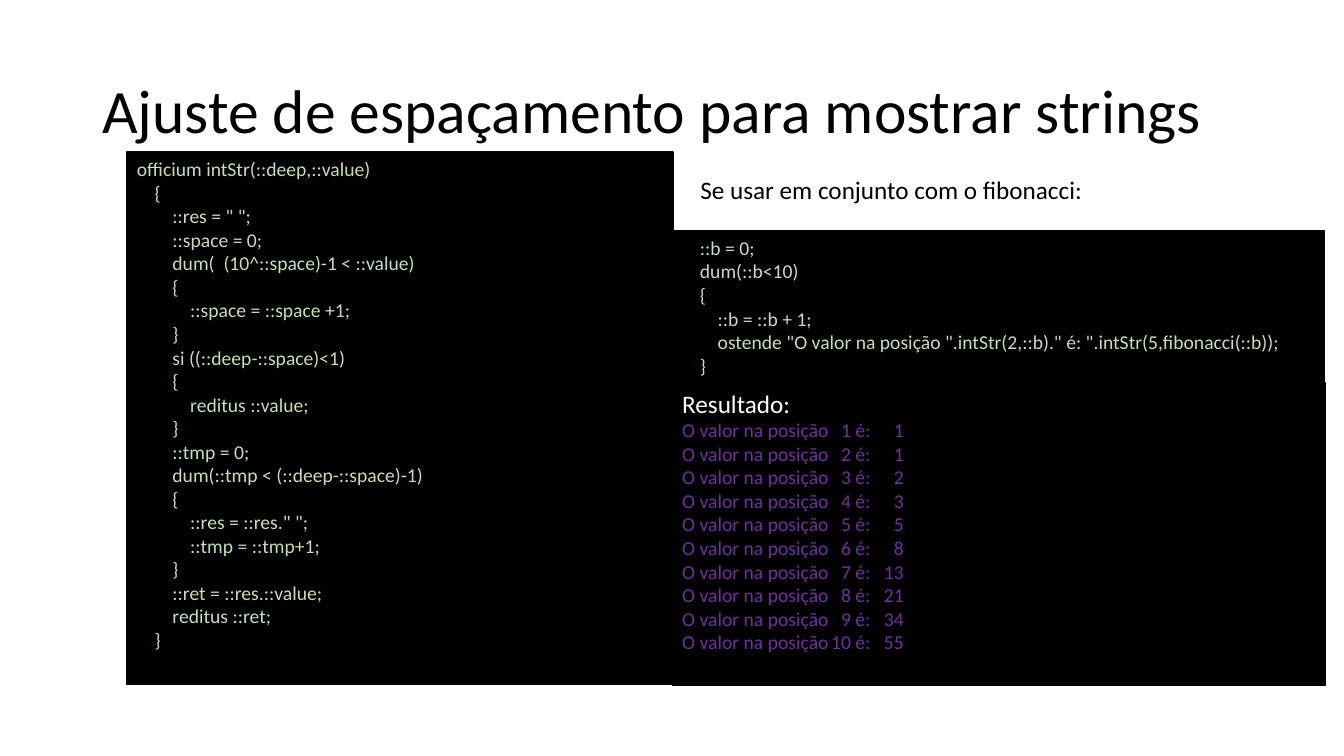
"""Build the slide on padding strings for aligned output."""
from pptx import Presentation
from pptx.util import Pt
from pptx.dml.color import RGBColor
from pptx.enum.shapes import MSO_SHAPE
from pptx.enum.text import MSO_ANCHOR, PP_ALIGN
from lxml.etree import SubElement

BLACK, WHITE, GREEN, PURPLE = "000000", "FFFFFF", "C5E0B4", "7030A0"
STEP = 12.7
STOPS = (134.5, 158.3)

TITLE = "Ajuste de espaçamento para mostrar strings"
NOTE = "Se usar em conjunto com o fibonacci:"
PAD = [
    (0, "officium intStr(::deep,::value)"),
    (1, "{"),
    (2, '::res = " ";'),
    (2, "::space = 0;"),
    (2, "dum(\u00a0 (10^::space)-1 < ::value)"),
    (2, "{"),
    (3, "::space = ::space +1;"),
    (2, "}"),
    (2, "si ((::deep-::space)<1)"),
    (2, "{"),
    (3, "reditus ::value;"),
    (2, "}"),
    (2, "::tmp = 0;"),
    (2, "dum(::tmp < (::deep-::space)-1)"),
    (2, "{"),
    (3, '::res = ::res." ";'),
    (3, "::tmp = ::tmp+1;"),
    (2, "}"),
    (2, "::ret = ::res.::value;"),
    (2, "reditus ::ret;"),
    (1, "}"),
]
LOOP = [
    (1, "::b = 0;"),
    (1, "dum(::b<10)"),
    (1, "{"),
    (2, "::b = ::b + 1;"),
    (2, 'ostende "O valor na posição ".intStr(2,::b)." é: ".intStr(5,fibonacci(::b));'),
    (1, "}"),
]
FIBS = [1, 1, 2, 3, 5, 8, 13, 21, 34, 55]


def tint(hue):
    return RGBColor.from_string(hue)


def write(frame, lines):
    frame.word_wrap = True
    for i, (depth, text, size, hue) in enumerate(lines):
        para = frame.paragraphs[0] if i == 0 else frame.add_paragraph()
        para.alignment = PP_ALIGN.LEFT
        props = para._p.get_or_add_pPr()
        props.set("marL", str(int(Pt(depth * STEP))))
        if "\t" in text:
            tabs = SubElement(props, props.tag.replace("pPr", "tabLst"))
            for stop in STOPS:
                SubElement(tabs, props.tag.replace("pPr", "tab"),
                           pos=str(int(Pt(stop))), algn="r")
        run = para.add_run()
        run.text = text
        run.font.name = "Calibri"
        run.font.size = Pt(size)
        run.font.color.rgb = tint(hue)


def label(slide, box, text, size, anchor):
    frame = slide.shapes.add_textbox(*map(Pt, box)).text_frame
    frame.vertical_anchor = anchor
    write(frame, [(0, text, size, BLACK)])
    return frame


def panel(slide, box, lines):
    shape = slide.shapes.add_shape(MSO_SHAPE.RECTANGLE, *map(Pt, box))
    shape.shadow.inherit = False
    shape.fill.solid()
    shape.fill.fore_color.rgb = tint(BLACK)
    shape.line.color.rgb = tint(BLACK)
    shape.line.width = Pt(1)
    shape.text_frame.vertical_anchor = MSO_ANCHOR.TOP
    write(shape.text_frame, lines)


def code(rows):
    return [(depth, text, 14, GREEN) for depth, text in rows]


deck = Presentation()
deck.slide_width, deck.slide_height = Pt(960), Pt(540)
slide = deck.slides.add_slide(deck.slide_layouts[6])

head = label(slide, (66, 28.75, 828, 104.4), TITLE, 44, MSO_ANCHOR.MIDDLE)
head.paragraphs[0].line_spacing = 0.9
panel(slide, (90.7, 108.7, 390, 380.2), code(PAD))
label(slide, (493.2, 121, 413.3, 51), NOTE, 18, MSO_ANCHOR.TOP)
panel(slide, (480.2, 164.9, 465.8, 108.7), code(LOOP))
result = [(0, f"O valor na posição\t{n} é:\t{fib}", 14, PURPLE)
          for n, fib in enumerate(FIBS, 1)]
panel(slide, (480.2, 273.6, 466.6, 216), [(0, "Resultado:", 18, WHITE)] + result)

deck.save("out.pptx")
